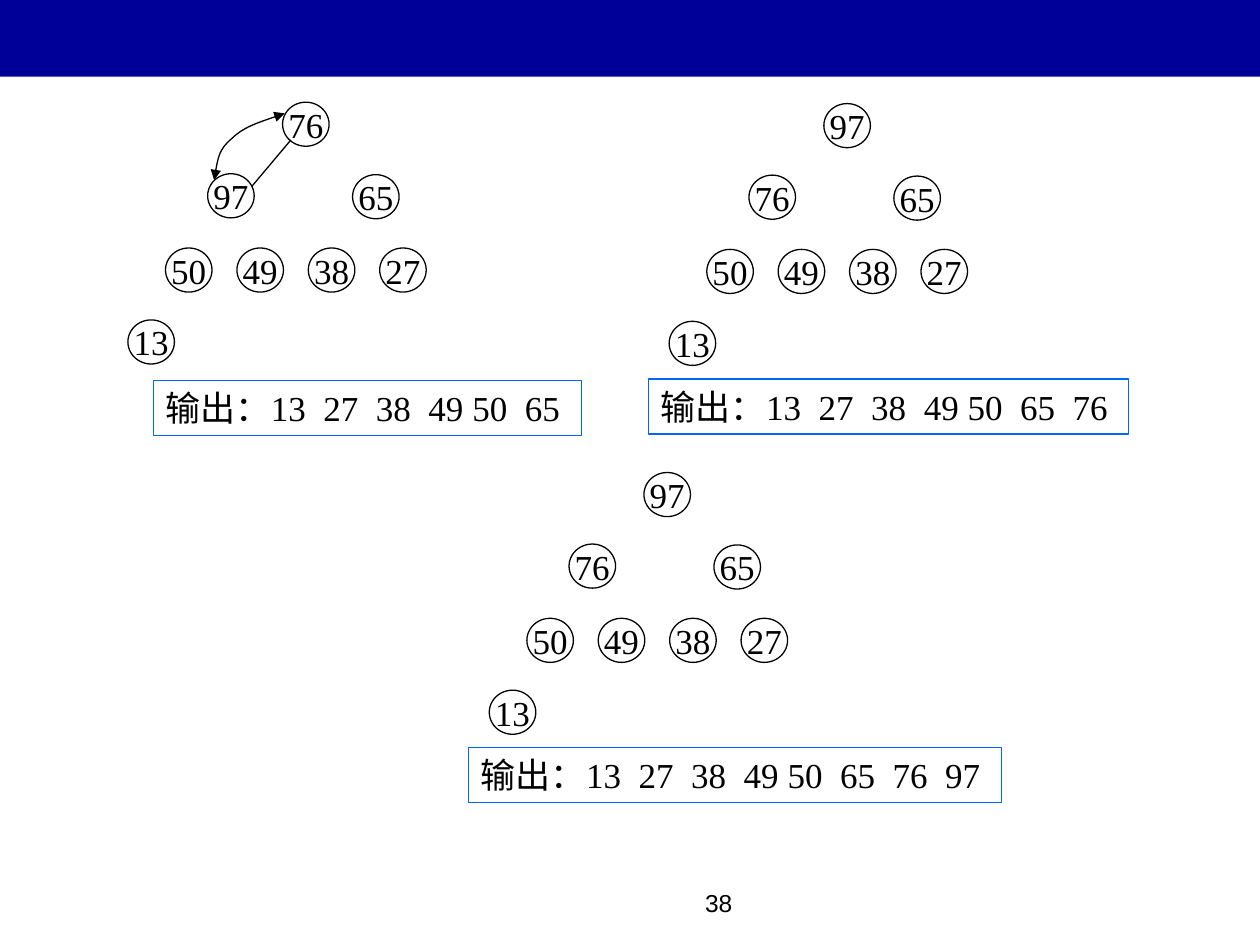
from lxml.etree import SubElement
from pptx import Presentation
from pptx.dml.color import RGBColor
from pptx.enum.shapes import MSO_CONNECTOR, MSO_SHAPE
from pptx.enum.text import MSO_ANCHOR, MSO_AUTO_SIZE, PP_ALIGN
from pptx.oxml.ns import qn
from pptx.util import Pt

COLORS = {"band": "000099", "ink": "000000", "frame": "0066FF"}
NODE_W, NODE_H = 26.6, 25.2
NODE_OFFSETS = [(0, 0), (-42.8, 40.9), (40, 41.4)]
NODE_OFFSETS += [(-66.9 + 40.8 * i, 83.3) for i in range(4)]
NODE_OFFSETS += [(-88.4, 124.4)]
LOWER_KEYS = [65, 50, 49, 38, 27, 13]
HEAPS = [
    ((161.5, 58.4), [76, 97], (87.6, 217.3, 244.8), "输出：13  27  38  49 50  65"),
    ((470.8, 59.2), [97, 76], (370.6, 216.6, 274.5), "输出：13  27  38  49 50  65  76"),
    ((368, 270), [97, 76], (267.7, 427.2, 304.7), "输出：13  27  38  49 50  65  76  97"),
]


def rgb(name):
    return RGBColor.from_string(COLORS[name])


def write(s, text, size=20, font="Times New Roman", align=PP_ALIGN.LEFT,
          anchor=MSO_ANCHOR.TOP, wrap=False, auto_size=MSO_AUTO_SIZE.NONE):
    tf = s.text_frame
    tf.auto_size = auto_size
    tf.word_wrap = wrap
    tf.vertical_anchor = anchor
    p = tf.paragraphs[0]
    p.alignment = align
    r = p.add_run()
    r.text = text
    r.font.size = Pt(size)
    r.font.name = font
    r.font.color.rgb = rgb("ink")


def add_outline(shapes, kind, x, y, w, h, color):
    s = shapes.add_shape(kind, Pt(x), Pt(y), Pt(w), Pt(h))
    s.shadow.inherit = False
    s.fill.background()
    s.line.color.rgb = rgb(color)
    s.line.width = Pt(0.75)
    return s


def add_node(shapes, x, y, key):
    s = add_outline(shapes, MSO_SHAPE.OVAL, x, y, NODE_W, NODE_H, "ink")
    write(s, str(key), align=PP_ALIGN.CENTER, anchor=MSO_ANCHOR.MIDDLE)


def add_heap(slide, root, top_keys, frame, output):
    group = slide.shapes.add_group_shape()
    for (dx, dy), key in zip(NODE_OFFSETS, top_keys + LOWER_KEYS):
        add_node(group.shapes, root[0] + dx, root[1] + dy, key)
    s = add_outline(group.shapes, MSO_SHAPE.RECTANGLE, *frame, 31.5, "frame")
    write(s, output, auto_size=MSO_AUTO_SIZE.SHAPE_TO_FIT_TEXT)
    return group


def add_edge(shapes, x1, y1, x2, y2):
    s = shapes.add_connector(MSO_CONNECTOR.STRAIGHT, Pt(x1), Pt(y1), Pt(x2), Pt(y2))
    s.line.color.rgb = rgb("ink")
    s.line.width = Pt(0.75)
    SubElement(s._element.spPr, qn("a:effectLst"))


def add_swap_arrow(shapes, points):
    start, *rest = [(Pt(x), Pt(y)) for x, y in points]
    builder = shapes.build_freeform(*start)
    builder.add_line_segments(rest, close=False)
    s = builder.convert_to_shape()
    s.shadow.inherit = False
    s.fill.background()
    s.line.color.rgb = rgb("ink")
    s.line.width = Pt(0.75)
    outline = s._element.find(".//" + qn("a:path"))
    segments = outline.findall(qn("a:lnTo"))
    for i in range(0, len(segments), 3):
        curve = SubElement(outline, qn("a:cubicBezTo"))
        for segment in segments[i:i + 3]:
            curve.append(segment[0])
            outline.remove(segment)
    for end in ("a:headEnd", "a:tailEnd"):
        SubElement(s.line._get_or_add_ln(), qn(end), type="triangle")


def add_band(slide):
    s = add_outline(slide.shapes, MSO_SHAPE.RECTANGLE, -0.5, 0, 720.5, 43.8, "band")
    s.fill.solid()
    s.fill.fore_color.rgb = rgb("band")
    s.line.fill.background()


def add_page_number(slide, number):
    s = slide.shapes.add_textbox(Pt(275.8), Pt(504), Pt(149.8), Pt(36))
    write(s, number, size=14, font="Arial", align=PP_ALIGN.RIGHT, wrap=True)


def main():
    prs = Presentation()
    prs.slide_width, prs.slide_height = Pt(720), Pt(540)
    slide = prs.slides.add_slide(prs.slide_layouts[6])
    add_band(slide)
    add_page_number(slide, "38")
    groups = [add_heap(slide, *heap) for heap in HEAPS]
    add_edge(groups[0].shapes, 166.2, 80, 144, 106.4)
    add_swap_arrow(slide.shapes, [
        (162.7, 64.8), (150.5, 69.1), (139, 72.7), (132.5, 79.2),
        (125.3, 85), (123.8, 93.6), (122.4, 103),
    ])
    prs.save("out.pptx")


if __name__ == "__main__":
    main()
